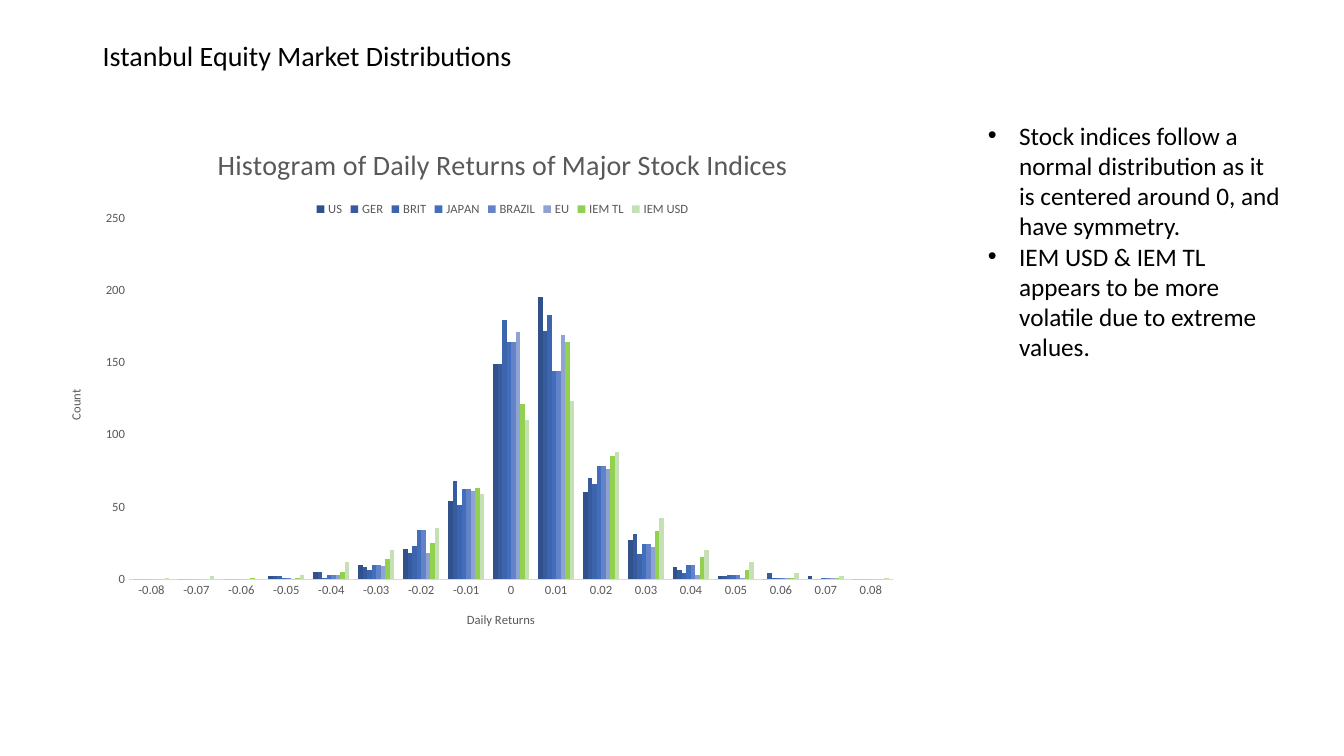
"""Build a slide with a histogram of daily stock index returns and two remarks."""
import dataclasses

import lxml.etree
import pptx
import pptx.chart.data
import pptx.dml.color
import pptx.enum.chart
import pptx.enum.text
import pptx.oxml.ns
import pptx.util

Inches = pptx.util.Inches
FONT = "Calibri"
COLORS = {
    "text": "000000", "label": "595959", "axis": "D9D9D9",
    "US": "30518B", "GER": "375C9E", "BRIT": "3C65AE", "JAPAN": "426EBD",
    "BRAZIL": "6383C9", "EU": "90A2D3", "IEM TL": "92D050", "IEM USD": "C5E0B4",
}
BINS = [f"{n / 100:g}" for n in range(-8, 9)]


@dataclasses.dataclass
class Index:
    name: str
    counts: list[int]


@dataclasses.dataclass
class Note:
    left: float
    top: float
    width: float
    height: float
    size: int
    lines: list[str]
    bullet: bool = False
    middle: bool = False
    spacing: float = 1.0


INDICES = [
    Index("US", [0, 0, 0, 2, 5, 10, 21, 54, 149, 195, 60, 27, 8, 2, 0, 2, 0]),
    Index("GER", [0, 0, 0, 2, 5, 8, 18, 68, 149, 172, 70, 31, 6, 2, 4, 0, 0]),
    Index("BRIT", [0, 0, 0, 2, 1, 6, 23, 51, 179, 183, 66, 17, 4, 3, 1, 0, 0]),
    Index("JAPAN", [0, 0, 0, 1, 3, 10, 34, 62, 164, 144, 78, 24, 10, 3, 1, 1, 0]),
    Index("BRAZIL", [0, 0, 0, 1, 3, 10, 34, 62, 164, 144, 78, 24, 10, 3, 1, 1, 0]),
    Index("EU", [0, 0, 0, 0, 3, 9, 18, 61, 171, 169, 76, 22, 3, 1, 1, 1, 0]),
    Index("IEM TL", [0, 0, 1, 1, 5, 14, 25, 63, 121, 164, 85, 33, 15, 6, 1, 1, 0]),
    Index("IEM USD", [1, 2, 0, 3, 12, 20, 35, 59, 110, 123, 88, 42, 20, 12, 4, 2, 1]),
]
NOTES = [
    Note(0.92, 0.4, 11.5, 0.34, 20, ["Istanbul Equity Market Distributions"],
         middle=True, spacing=0.9),
    Note(9.7, 1.14, 3.11, 2.52, 18, [
        "Stock indices follow a normal distribution as it is centered around 0, "
        "and have symmetry.",
        "IEM USD & IEM TL appears to be more volatile due to extreme values.",
    ], bullet=True),
]


def color(key: str) -> pptx.dml.color.RGBColor:
    return pptx.dml.color.RGBColor.from_string(COLORS[key])


def style(font, size: int, key: str) -> None:
    font.name = FONT
    font.size = pptx.util.Pt(size)
    font.bold = False
    font.color.rgb = color(key)


def draw_note(slide, note: Note) -> None:
    box = slide.shapes.add_textbox(*map(Inches, (note.left, note.top, note.width, note.height)))
    frame = box.text_frame
    frame.word_wrap = True
    if note.middle:
        frame.vertical_anchor = pptx.enum.text.MSO_ANCHOR.MIDDLE
    for n, line in enumerate(note.lines):
        para = frame.add_paragraph() if n else frame.paragraphs[0]
        if note.bullet:
            props = para._p.get_or_add_pPr()
            props.set("marL", str(Inches(0.31)))
            props.set("indent", str(-Inches(0.31)))
            face = lxml.etree.SubElement(props, pptx.oxml.ns.qn("a:buFont"))
            face.set("typeface", "Arial")
            mark = lxml.etree.SubElement(props, pptx.oxml.ns.qn("a:buChar"))
            mark.set("char", "•")
        para.line_spacing = note.spacing
        run = para.add_run()
        run.text = line
        style(run.font, note.size, "text")


def place(node, index: int, **spots: float) -> None:
    qn = pptx.oxml.ns.qn
    for old in node.findall(qn("c:layout")):
        node.remove(old)
    layout = lxml.etree.Element(qn("c:layout"))
    manual = lxml.etree.SubElement(layout, qn("c:manualLayout"))
    if "plotArea" in node.tag:
        lxml.etree.SubElement(manual, qn("c:layoutTarget")).set("val", "inner")
    for key in ("x", "y"):
        lxml.etree.SubElement(manual, qn(f"c:{key}Mode")).set("val", "edge")
    for key, spot in spots.items():
        lxml.etree.SubElement(manual, qn(f"c:{key}")).set("val", str(spot))
    node.insert(index, layout)


def label(owner, text: str, size: int, left: float, top: float, turn: bool = False) -> None:
    owner.has_title = True
    title = owner.chart_title if hasattr(owner, "chart_title") else owner.axis_title
    frame = title.text_frame
    run = frame.paragraphs[0].add_run()
    run.text = text
    style(run.font, size, "label")
    if turn:
        frame._txBody.bodyPr.set("rot", "-5400000")
        frame._txBody.bodyPr.set("vert", "horz")
    place(title._element, 1, x=left, y=top)


def draw_chart(slide) -> None:
    enum = pptx.enum.chart
    data = pptx.chart.data.CategoryChartData()
    data.categories = BINS
    for index in INDICES:
        data.add_series(index.name, index.counts)
    chart = slide.shapes.add_chart(
        enum.XL_CHART_TYPE.COLUMN_CLUSTERED,
        *map(Inches, (0.27, 1.23, 9.43, 5.12)), data).chart
    style(chart.font, 10, "text")
    label(chart, "Histogram of Daily Returns of Major Stock Indices", 20, 0.195, 0.03)
    place(chart._chartSpace.chart.plotArea, 0, x=0.107, y=0.182, w=0.804, h=0.7)

    plot = chart.plots[0]
    plot.gap_width = 199
    plot.overlap = 0
    plot.vary_by_categories = False
    for series in plot.series:
        series.format.fill.solid()
        series.format.fill.fore_color.rgb = color(series.name)

    chart.has_legend = True
    legend = chart.legend
    legend.position = enum.XL_LEGEND_POSITION.TOP
    legend.include_in_layout = False
    style(legend.font, 9, "label")
    place(legend._element, 1, x=0.3, y=0.145, w=0.4, h=0.04)

    for axis in (chart.category_axis, chart.value_axis):
        axis.has_major_gridlines = False
        axis.major_tick_mark = enum.XL_TICK_MARK.NONE
        axis.minor_tick_mark = enum.XL_TICK_MARK.NONE
        style(axis.tick_labels.font, 9, "label")
    base = chart.category_axis.format.line
    base.color.rgb = color("axis")
    base.width = pptx.util.Pt(0.75)
    chart.value_axis.format.line.fill.background()
    chart.value_axis.minimum_scale = 0
    chart.value_axis.maximum_scale = 250
    chart.value_axis.major_unit = 50
    label(chart.category_axis, "Daily Returns", 9, 0.46, 0.94)
    label(chart.value_axis, "Count", 9, 0.04, 0.51, turn=True)


def main() -> None:
    deck = pptx.Presentation()
    deck.slide_width = Inches(13.33)
    deck.slide_height = Inches(7.5)
    slide = deck.slides.add_slide(deck.slide_layouts[6])
    draw_chart(slide)
    for note in NOTES:
        draw_note(slide, note)
    deck.save("out.pptx")


if __name__ == "__main__":
    main()
